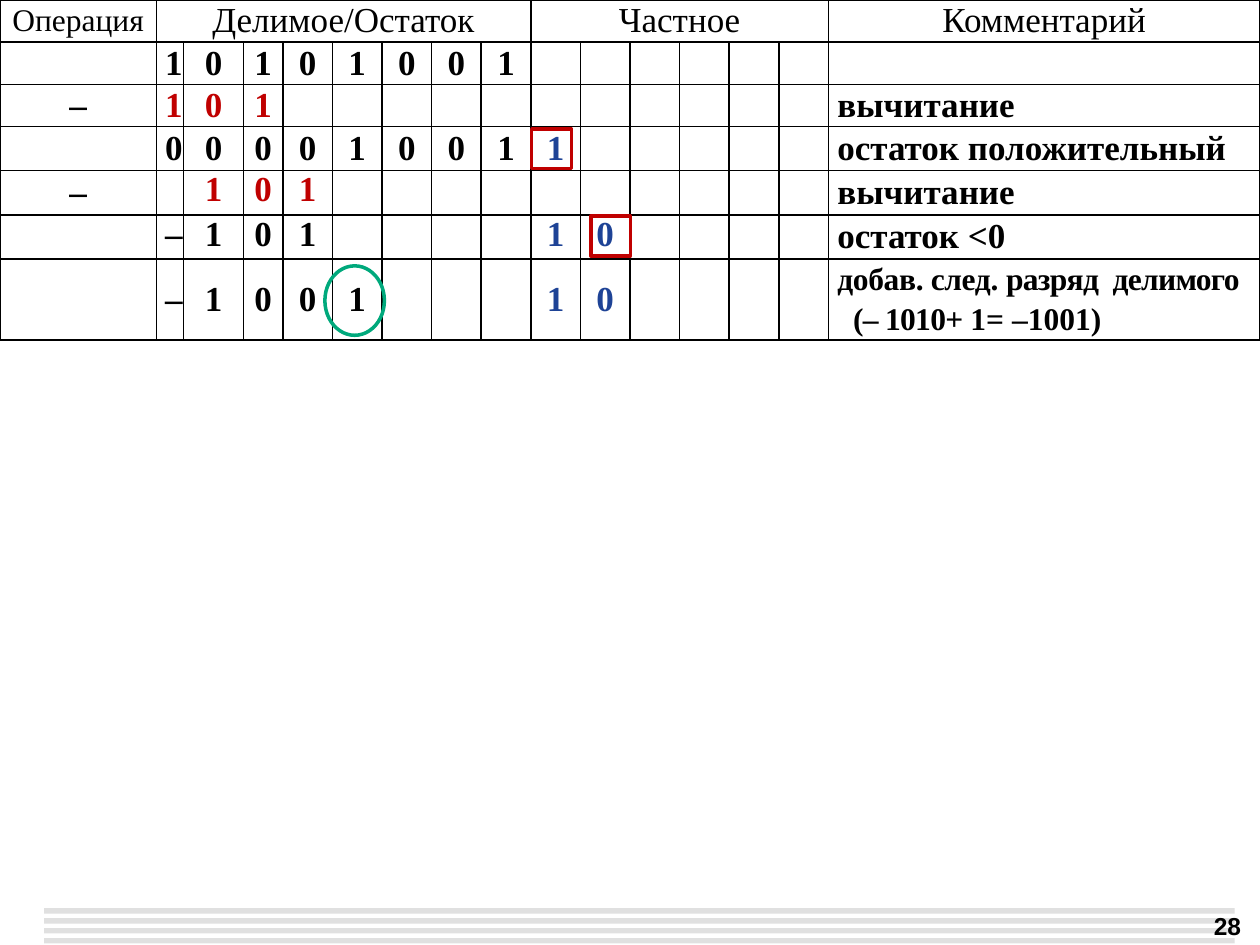
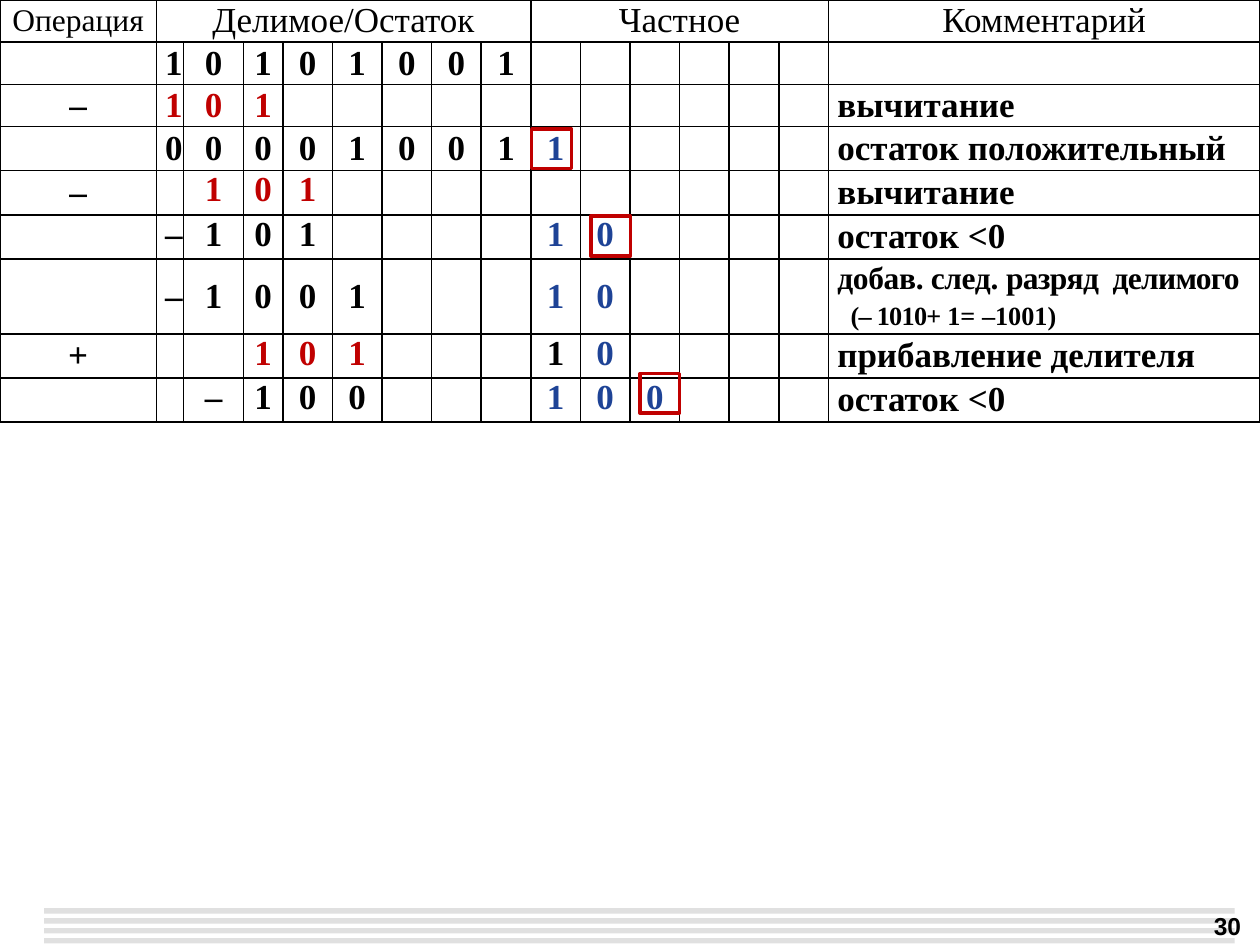
import dataclasses

import pptx
import pptx.dml.color
import pptx.enum.shapes
import pptx.enum.text
import pptx.oxml.ns
import pptx.util
from lxml import etree

Cm = pptx.util.Cm
Pt = pptx.util.Pt
SHAPES = pptx.enum.shapes.MSO_SHAPE
ALIGN = pptx.enum.text.PP_ALIGN
ANCHOR = pptx.enum.text.MSO_ANCHOR

BLACK, RED, BLUE, GREEN, GREY = "000000", "C00000", "1E4396", "00A97C", "E0E0E0"
TABLE_FONT, FOOTER_FONT = "Times New Roman", "Arial"

DIVIDEND_START, QUOTIENT_START, COMMENT_COLUMN = 1, 9, 15
COLUMN_WIDTHS = [3.15, 0.55, 1.21, 0.79] + [1.0] * 11 + [8.7]
HEADER_HEIGHT = 0.85
HEADERS = [
    ("Операция", 0, 0, 18),
    ("Делимое/Остаток", DIVIDEND_START, QUOTIENT_START - 1, 20),
    ("Частное", QUOTIENT_START, COMMENT_COLUMN - 1, 20),
    ("Комментарий", COMMENT_COLUMN, COMMENT_COLUMN, 20),
]


@dataclasses.dataclass
class Step:
    dividend: str
    quotient: str = ""
    comment: str = ""
    operation: str = ""
    dividend_color: str = BLACK
    quotient_colors: tuple = (BLUE, BLUE, BLUE)
    anchor: object = ANCHOR.TOP
    height: float = 0.89
    formula_size: int = 0


FIRST_STEPS = [
    Step("10101001", anchor=ANCHOR.MIDDLE, height=0.85),
    Step("101", "", "вычитание", "–", RED, anchor=ANCHOR.MIDDLE, height=0.85),
    Step("00001001", "1", "остаток положительный", anchor=ANCHOR.MIDDLE),
    Step(" 101", "", "вычитание", "–", RED),
    Step("–101", "10", "остаток <0"),
]
ADDITION_STEPS = [
    Step("  101", "10", "прибавление делителя", "+", RED, (BLACK, BLUE)),
    Step(" –100", "100", "остаток <0"),
]
SQUARE_MARKS = [(10.72, 2.6), (11.91, 4.36), (12.9, 7.53)]


def next_digit_step(formula_size, height):
    return Step("–1001", "10", anchor=ANCHOR.MIDDLE, height=height, formula_size=formula_size)


def rgb(color):
    return pptx.dml.color.RGBColor.from_string(color)


def format_run(run, size, color=BLACK, bold=True, font=TABLE_FONT, spacing=0):
    run.font.name = font
    run.font.size = Pt(size)
    run.font.bold = bold
    run.font.color.rgb = rgb(color)
    if spacing:
        run._r.get_or_add_rPr().set("spc", str(round(spacing * 100)))


def add_border(cell):
    properties = cell._tc.get_or_add_tcPr()
    for position, side in enumerate(("lnL", "lnR", "lnT", "lnB")):
        line = etree.Element(pptx.oxml.ns.qn(f"a:{side}"), w=str(Pt(1)))
        fill = etree.SubElement(line, pptx.oxml.ns.qn("a:solidFill"))
        etree.SubElement(fill, pptx.oxml.ns.qn("a:srgbClr"), val=BLACK)
        properties.insert(position, line)


def prepare_cell(cell):
    cell.margin_left = cell.margin_right = Cm(0.18)
    cell.margin_top = cell.margin_bottom = 0
    cell.vertical_anchor = ANCHOR.MIDDLE
    cell.fill.background()
    add_border(cell)


def write_cell(cell, text, color=BLACK, size=20, bold=True, align=ALIGN.CENTER, anchor=ANCHOR.MIDDLE):
    cell.vertical_anchor = anchor
    paragraph = cell.text_frame.paragraphs[0]
    paragraph.text = text
    paragraph.alignment = align
    paragraph.space_after = Pt(3)
    for run in paragraph.runs:
        format_run(run, size, color, bold)


def write_next_digit_comment(cell, formula_size):
    lines = [
        (18, [("добав. след. ", -0.2), ("разряд  делимого", -0.4)]),
        (formula_size, [("(– 1010+ ", -0.4), ("1= ", 0), ("–", -0.4), ("1001)", 0)]),
    ]
    frame = cell.text_frame
    for paragraph, (size, pieces) in zip((frame.paragraphs[0], frame.add_paragraph()), lines):
        paragraph.space_after = Pt(3)
        for text, spacing in pieces:
            run = paragraph.add_run()
            run.text = text
            format_run(run, size, spacing=spacing)
    paragraph._p.get_or_add_pPr().set("marL", str(Pt(formula_size / 2)))


def write_digits(table, row, start, digits, colors, anchor):
    for column, (digit, color) in enumerate(zip(digits, colors), start):
        if digit != " ":
            write_cell(table.cell(row, column), digit, color, anchor=anchor)


def write_step(table, row, step):
    if step.operation:
        write_cell(table.cell(row, 0), step.operation)
    dividend_colors = [step.dividend_color] * len(step.dividend)
    write_digits(table, row, DIVIDEND_START, step.dividend, dividend_colors, step.anchor)
    write_digits(table, row, QUOTIENT_START, step.quotient, step.quotient_colors, step.anchor)
    comment_cell = table.cell(row, COMMENT_COLUMN)
    if step.formula_size:
        write_next_digit_comment(comment_cell, step.formula_size)
    elif step.comment:
        write_cell(comment_cell, step.comment, align=ALIGN.LEFT)


def add_division_table(slide, left, top, steps):
    heights = [HEADER_HEIGHT] + [step.height for step in steps]
    frame = slide.shapes.add_table(
        len(heights), len(COLUMN_WIDTHS), Cm(left), Cm(top), Cm(sum(COLUMN_WIDTHS)), Cm(sum(heights))
    )
    table = frame.table
    table.first_row = table.horz_banding = False
    for column, width in zip(table.columns, COLUMN_WIDTHS):
        column.width = Cm(width)
    for row, height in zip(table.rows, heights):
        row.height = Cm(height)
        for cell in row.cells:
            prepare_cell(cell)
    for text, first, last, size in HEADERS:
        if last > first:
            table.cell(0, first).merge(table.cell(0, last))
        write_cell(table.cell(0, first), text, size=size, bold=False)
    for row, step in enumerate(steps, 1):
        write_step(table, row, step)


def add_mark(slide, kind, left, top, width, height, color):
    mark = slide.shapes.add_shape(kind, Cm(left), Cm(top), Cm(width), Cm(height))
    mark.shadow.inherit = False
    mark.fill.background()
    mark.line.color.rgb = rgb(color)
    mark.line.width = Pt(2)


def add_footer(slide, left, top, width, number):
    for index in range(4):
        band = slide.shapes.add_shape(
            SHAPES.RECTANGLE, Cm(left), Cm(top + 0.2 * index), Cm(width), Cm(0.11)
        )
        band.shadow.inherit = False
        band.fill.solid()
        band.fill.fore_color.rgb = rgb(GREY)
        band.line.fill.background()
    box = slide.shapes.add_textbox(Cm(left + width - 5.23), Cm(top - 0.07), Cm(5.61), Cm(0.84))
    box.text_frame.word_wrap = True
    paragraph = box.text_frame.paragraphs[0]
    paragraph.text = str(number)
    paragraph.alignment = ALIGN.RIGHT
    format_run(paragraph.runs[0], 14, font=FOOTER_FONT)


def add_division_slide(presentation, number, steps, square_marks):
    slide = presentation.slides.add_slide(presentation.slide_layouts[6])
    add_footer(slide, 0.89, 18.31, 24.0, number)
    add_division_table(slide, 0, 0, steps)
    for left, top in square_marks:
        add_mark(slide, SHAPES.RECTANGLE, left, top, 0.8, 0.8, RED)
    return slide


def main():
    presentation = pptx.Presentation()
    presentation.slide_width = Cm(25.4)
    presentation.slide_height = Cm(19.05)
    slide = add_division_slide(
        presentation, 28, FIRST_STEPS + [next_digit_step(18, 1.63)], SQUARE_MARKS[:2]
    )
    add_mark(slide, SHAPES.OVAL, 6.55, 5.36, 1.2, 1.4, GREEN)
    add_division_slide(
        presentation, 30, FIRST_STEPS + [next_digit_step(15, 1.51)] + ADDITION_STEPS, SQUARE_MARKS
    )
    presentation.save("out.pptx")


if __name__ == "__main__":
    main()
